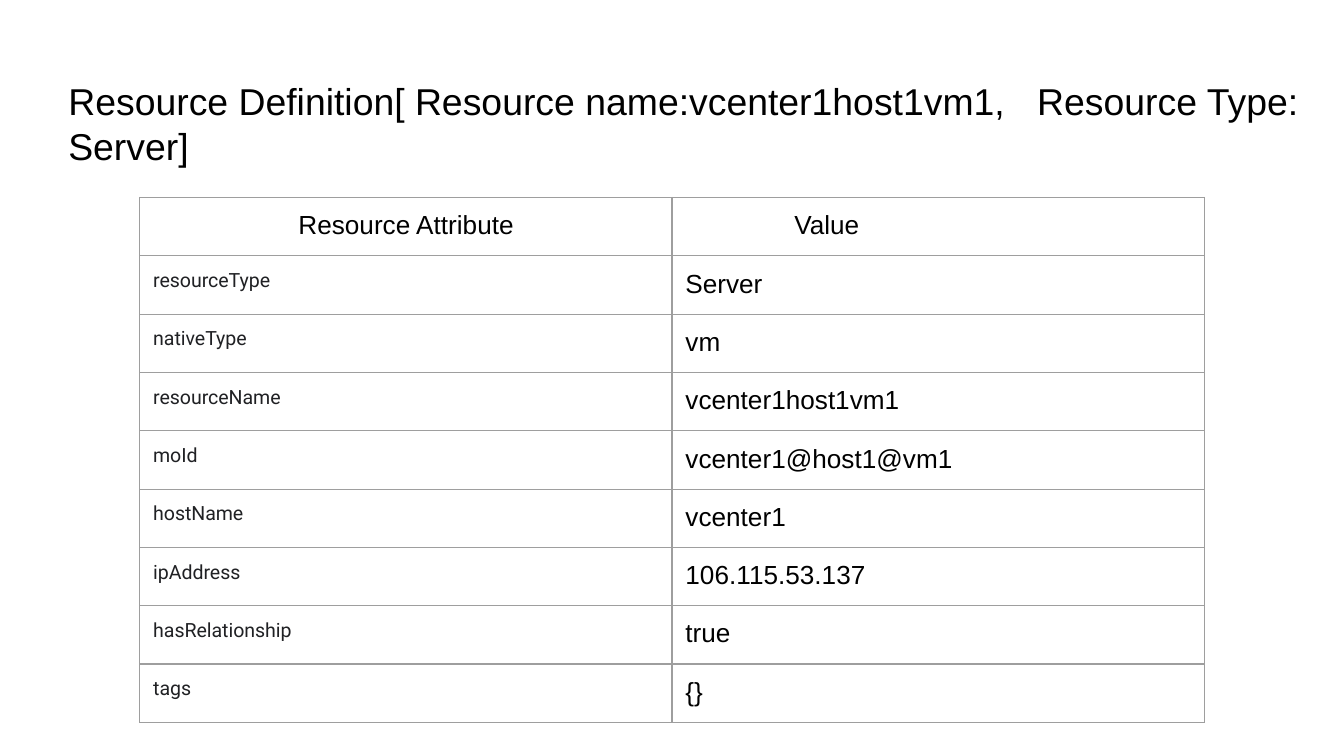
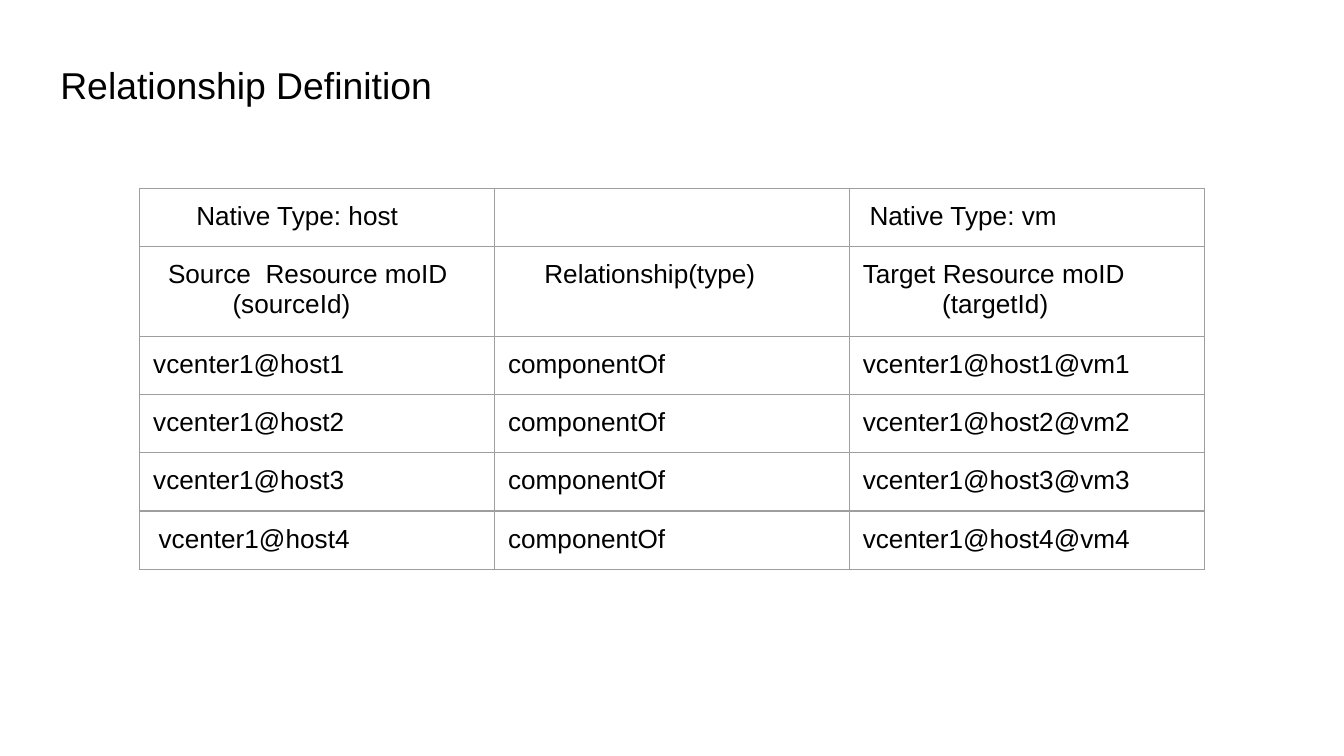
from lxml.etree import SubElement
from pptx import Presentation
from pptx.dml.color import RGBColor
from pptx.enum.text import MSO_ANCHOR
from pptx.oxml.ns import qn
from pptx.util import Inches, Pt

COLOURS = {"text": "000000", "key": "202124", "border": "9E9E9E", "page": "FFFFFF"}
TITLE = {"font": "Arial", "size": 20, "colour": "text", "gap": 3}
BODY = {"font": "Arial", "size": 14, "colour": "text", "gap": 2}
KEY = {"font": "Roboto", "size": 10.5, "colour": "key", "gap": 1}
TABLE_LEFT, TABLE_WIDTH, FRAME_SIDE, INSET = 1.04, 7.92, 3.28, 0.1

# A cell is a list of (text, indent in inches) lines or a plain string.
# A bar in a text stands for a widened space.
ATTRIBUTES = [
    ([("Resource Attribute", 1.08)], [("Value", 0.81)]),
    ("resourceType", "Server"),
    ("nativeType", "vm"),
    ("resourceName", "vcenter1host1vm1"),
    ("moId", "vcenter1@host1@vm1"),
    ("hostName", "vcenter1"),
    ("ipAddress", "106.115.53.137"),
    ("hasRelationship", "true"),
    ("tags", "{}"),
]
RELATIONSHIPS = [
    ([("Native Type: host", 0.32)], "", [("Native Type: vm", 0.05)]),
    ([("Source|Resource moID", 0.11), ("(sourceId)", 0.59)],
     [("Relationship(type)", 0.27)],
     [("Target Resource moID", 0), ("(targetId)", 0.59)]),
    ("vcenter1@host1", "componentOf", "vcenter1@host1@vm1"),
    ("vcenter1@host2", "componentOf", "vcenter1@host2@vm2"),
    ("vcenter1@host3", "componentOf", "vcenter1@host3@vm3"),
    ([("vcenter1@host4", 0.04)], "componentOf", "vcenter1@host4@vm4"),
]
PAGES = [
    {"title": "Resource Definition[ Resource name:vcenter1host1vm1,|Resource Type: Server]",
     "title_at": (0.41, 0.48, 9.48, 0.59), "table_top": 1.47,
     "rows": ATTRIBUTES, "heights": [0.43] + [0.39] * 8, "key_column": True},
    {"title": "Relationship Definition",
     "title_at": (0.35, 0.36, 9.48, 0.46), "table_top": 1.4,
     "rows": RELATIONSHIPS, "heights": [0.43, 0.43, 0.39, 0.38, 0.39, 0.39],
     "key_column": False},
]


def add_span(paragraph, text, style):
    """Add one styled run and return it."""
    span = paragraph.add_run()
    span.text = text
    span.font.name = style["font"]
    span.font.size = Pt(style["size"])
    span.font.color.rgb = RGBColor.from_string(COLOURS[style["colour"]])
    return span


def write_line(paragraph, text, style, indent=0):
    """Write a line, widening each marked space by letter spacing."""
    if indent:
        paragraph._p.get_or_add_pPr().set("marL", str(Inches(indent)))
    for index, part in enumerate(text.split("|")):
        if index:
            space = add_span(paragraph, " ", style)
            extra = (style["gap"] - 1) * 0.278 * style["size"]
            space.font._element.set("spc", str(round(extra * 100)))
        add_span(paragraph, part, style)


def set_insets(target):
    """Give a cell or text frame the shared margins."""
    target.margin_left = target.margin_right = Inches(INSET)
    target.margin_top = target.margin_bottom = Inches(INSET)


def add_title(page, text, place):
    """Add the slide title."""
    frame = page.shapes.add_textbox(*map(Inches, place)).text_frame
    frame.word_wrap = True
    frame.vertical_anchor = MSO_ANCHOR.TOP
    set_insets(frame)
    write_line(frame.paragraphs[0], text, TITLE)


def draw_borders(cell):
    """Clear the fill and draw thin lines on all four sides."""
    properties = cell._tc.get_or_add_tcPr()
    for side in ("lnL", "lnR", "lnT", "lnB"):
        line = SubElement(properties, qn("a:" + side), w=str(Pt(0.75)))
        fill = SubElement(line, qn("a:solidFill"))
        SubElement(fill, qn("a:srgbClr"), val=COLOURS["border"])
    cell.fill.background()


def fill_cell(cell, content, style):
    """Write the lines of one cell."""
    set_insets(cell)
    draw_borders(cell)
    frame = cell.text_frame
    if not content:
        SubElement(frame.paragraphs[0]._p, qn("a:endParaRPr"), sz=str(style["size"] * 100))
        return
    lines = [(content, 0)] if isinstance(content, str) else content
    for index, (text, indent) in enumerate(lines):
        paragraph = frame.add_paragraph() if index else frame.paragraphs[0]
        write_line(paragraph, text, style, indent)


def add_grid(page, top, rows, heights, key_column):
    """Add a table with equal columns; its rows grow to fit their text."""
    count = len(rows[0])
    holder = page.shapes.add_table(
        len(rows), count, Inches(TABLE_LEFT), Inches(top),
        Inches(TABLE_WIDTH), Inches(FRAME_SIDE))
    table = holder.table
    table.first_row = table.horz_banding = False
    for column in table.columns:
        column.width = Inches(TABLE_WIDTH / count)
    for row_index, (row, height) in enumerate(zip(rows, heights)):
        table.rows[row_index].height = Inches(height)
        for column_index, content in enumerate(row):
            is_key = key_column and row_index > 0 and column_index == 0
            fill_cell(table.cell(row_index, column_index), content, KEY if is_key else BODY)
    holder.width = holder.height = Inches(FRAME_SIDE)


deck = Presentation()
deck.slide_width = Inches(10)
deck.slide_height = deck.slide_width * 9 // 16
for content in PAGES:
    page = deck.slides.add_slide(deck.slide_layouts[6])
    page.background.fill.solid()
    page.background.fill.fore_color.rgb = RGBColor.from_string(COLOURS["page"])
    add_title(page, content["title"], content["title_at"])
    add_grid(page, content["table_top"], content["rows"], content["heights"],
             content["key_column"])
deck.save("out.pptx")
